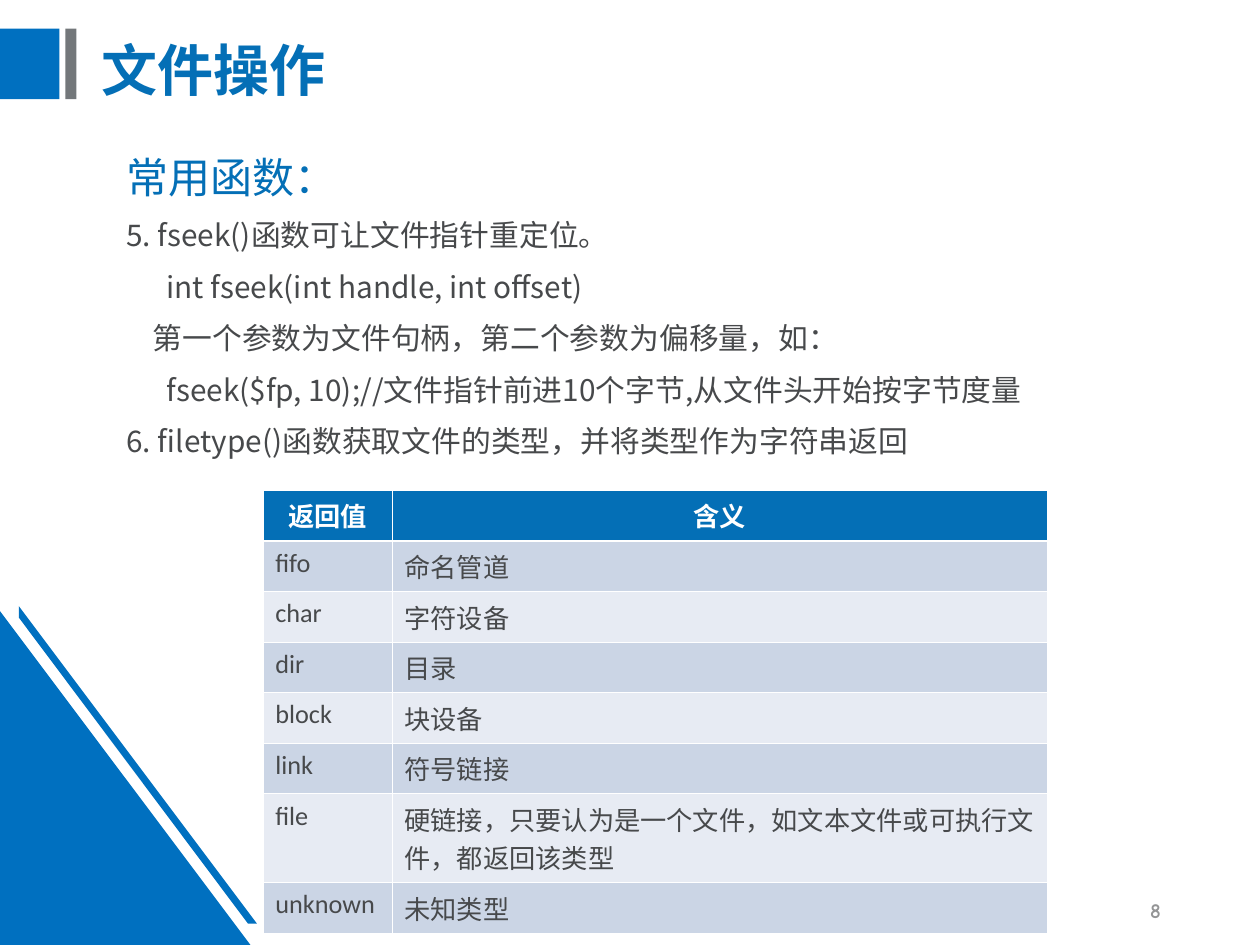
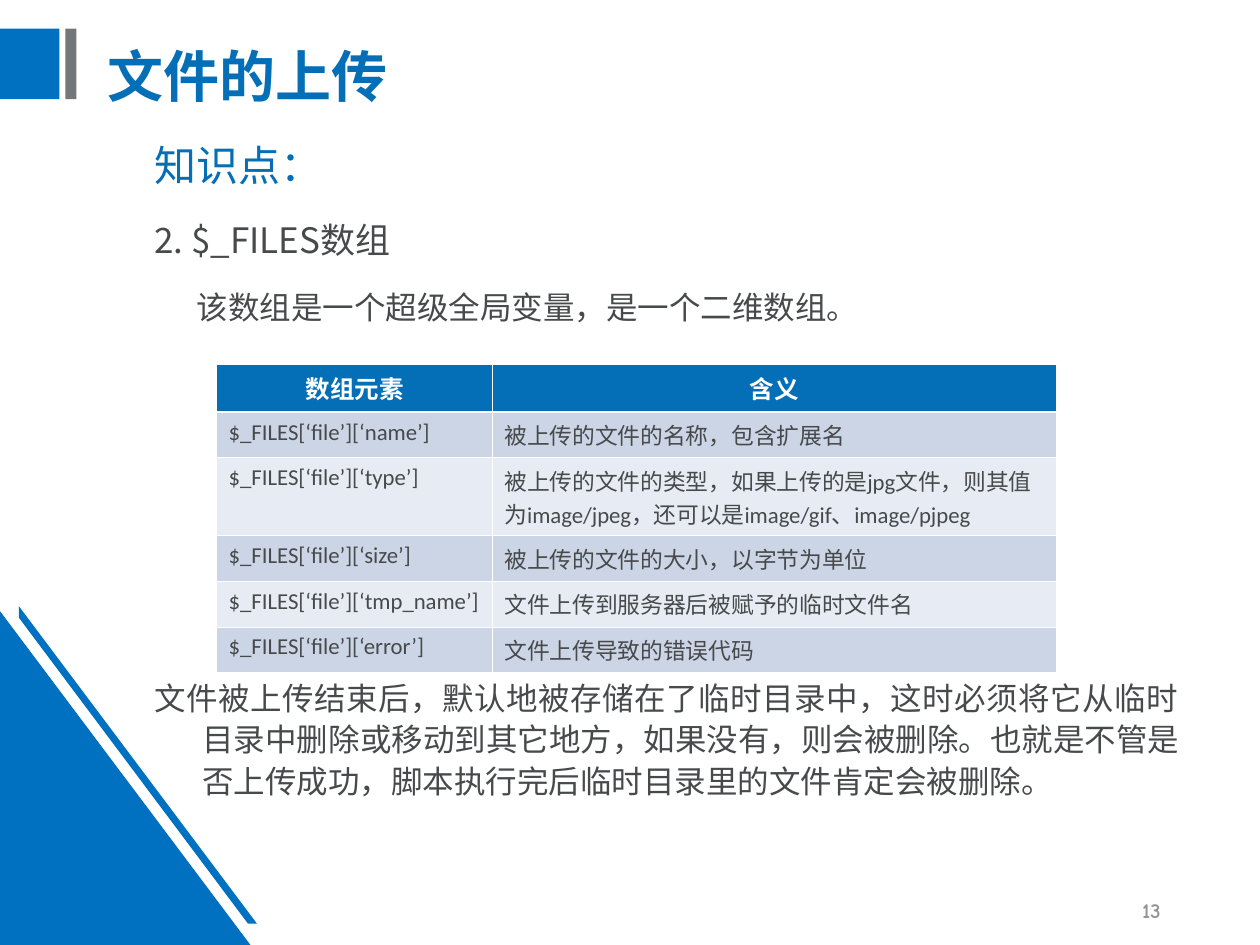
from pptx import Presentation
from pptx.dml.color import RGBColor
from pptx.enum.shapes import MSO_SHAPE
from pptx.enum.text import MSO_ANCHOR, PP_ALIGN
from pptx.oxml.ns import qn
from pptx.util import Cm, Pt
from lxml.etree import SubElement

BLUE = "0070C0"
DEEP = "046FB6"
GRAY = "73777A"
TEXT = "47494B"
PALE = "949596"
WHITE = "FFFFFF"
BANDS = ("E7EBF3", "CBD5E5")
HAN = "Noto Sans CJK SC"
LATIN = "Calibri"

CALLS = [
    ("常用函数：", 24, DEEP, 0, 0),
    ("5. fseek()函数可让文件指针重定位。", 17, TEXT, 0, 0),
    ("int fseek(int handle, int offset)", 17, TEXT, 0.81, 0),
    ("第一个参数为文件句柄，第二个参数为偏移量，如：", 17, TEXT, 0.53, 0),
    ("fseek($fp, 10);//文件指针前进10个字节,从文件头开始按字节度量", 17, TEXT, 0.81, 0),
    ("6. filetype()函数获取文件的类型，并将类型作为字符串返回", 17, TEXT, 0, 0),
]
TYPES = [
    ("返回值", "含义"),
    ("fifo", "命名管道"),
    ("char", "字符设备"),
    ("dir", "目录"),
    ("block", "块设备"),
    ("link", "符号链接"),
    ("file", "硬链接，只要认为是一个文件，如文本文件或可执行文件，都返回该类型"),
    ("unknown", "未知类型"),
]
POINTS = [
    ("知识点：", 24, DEEP, 0, 0),
    ("2. $_FILES数组", 20, TEXT, 0, 5),
    ("该数组是一个超级全局变量，是一个二维数组。", 18, TEXT, 0.86, 4.5),
    ("文件被上传结束后，默认地被存储在了临时目录中，这时必须将它从临时目录中删除或移动到其它地方，"
     "如果没有，则会被删除。也就是不管是否上传成功，脚本执行完后临时目录里的文件肯定会被删除。",
     18, TEXT, 0, 190.5),
]
FILES = [
    ("数组元素", "含义"),
    ("$_FILES[‘file’][‘name’]", "被上传的文件的名称，包含扩展名"),
    ("$_FILES[‘file’][‘type’]",
     "被上传的文件的类型，如果上传的是jpg文件，则其值为image/jpeg，还可以是image/gif、image/pjpeg"),
    ("$_FILES[‘file’][‘size’]", "被上传的文件的大小，以字节为单位"),
    ("$_FILES[‘file’][‘tmp_name’]", "文件上传到服务器后被赋予的临时文件名"),
    ("$_FILES[‘file’][‘error’]", "文件上传导致的错误代码"),
]


def tint(code):
    return RGBColor.from_string(code)


def paint(shape, code):
    shape.shadow.inherit = False
    shape.fill.solid()
    shape.fill.fore_color.rgb = tint(code)
    shape.line.fill.background()


def add_block(slide, kind, box, code):
    paint(slide.shapes.add_shape(kind, *map(Cm, box)), code)


def add_stripe(slide, dots):
    dots = [(Cm(x), Cm(y)) for x, y in dots]
    form = slide.shapes.build_freeform(*dots[0], scale=1.0)
    form.add_line_segments(dots[1:], close=True)
    paint(form.convert_to_shape(), BLUE)


def add_run(para, text, size, code, bold=False, face=HAN):
    run = para.add_run()
    run.text = text
    font = run.font
    font.size = Pt(size)
    font.bold = bold
    font.color.rgb = tint(code)
    font.name = face
    SubElement(run._r.get_or_add_rPr(), qn("a:ea")).set("typeface", HAN)


def add_box(slide, box, anchor=MSO_ANCHOR.MIDDLE):
    frame = slide.shapes.add_textbox(*map(Cm, box)).text_frame
    frame.word_wrap = True
    frame.vertical_anchor = anchor
    return frame


def add_title(slide, text, box):
    para = add_box(slide, box).paragraphs[0]
    para.line_spacing = 0.9
    add_run(para, text, 32, DEEP, True)


def add_page(slide, text):
    para = add_box(slide, (17.93, 17.83, 5.72, 1.02)).paragraphs[0]
    para.alignment = PP_ALIGN.RIGHT
    add_run(para, text, 12, PALE, True, "Comic Neue")


def add_body(slide, box, lines, left, hang, pitch):
    frame = add_box(slide, box, MSO_ANCHOR.TOP)
    for i, (text, size, code, shift, before) in enumerate(lines):
        para = frame.add_paragraph() if i else frame.paragraphs[0]
        para.alignment = PP_ALIGN.JUSTIFY
        para.line_spacing = pitch
        para.space_before = Pt(before)
        para.space_after = Pt(9)
        props = para._p.get_or_add_pPr()
        props.set("marL", str(Cm(left)))
        props.set("indent", str(Cm(shift - hang)))
        add_run(para, text, size, code)


def add_edge(cell, side, width):
    props = cell._tc.get_or_add_tcPr()
    edge = SubElement(props, qn("a:ln" + side), w=str(Pt(width)))
    fill = SubElement(edge, qn("a:solidFill"))
    SubElement(fill, qn("a:srgbClr"), val=WHITE)


def fill_cell(cell, text, row, size):
    head = row == 0
    thick = {"B": 0, "T": 1}
    for side in "LRTB":
        add_edge(cell, side, 1.5 if thick.get(side) == row else 0.5)
    cell.fill.solid()
    cell.fill.fore_color.rgb = tint(DEEP if head else BANDS[row % 2])
    cell.margin_left = cell.margin_right = Cm(0.24)
    para = cell.text_frame.paragraphs[0]
    para.alignment = PP_ALIGN.CENTER if head else PP_ALIGN.LEFT
    add_run(para, text, size, WHITE if head else TEXT, head, LATIN)


def add_grid(slide, spot, data, wide, high, sizes):
    box = (*spot, sum(wide), sum(high))
    grid = slide.shapes.add_table(len(data), len(wide), *map(Cm, box)).table
    for col, width in zip(grid.columns, wide):
        col.width = Cm(width)
    for i, texts in enumerate(data):
        grid.rows[i].height = Cm(high[i])
        for j, text in enumerate(texts):
            fill_cell(grid.cell(i, j), text, i, sizes[min(i, 1)])


def add_slide(deck):
    slide = deck.slides.add_slide(deck.slide_layouts[6])
    add_block(slide, MSO_SHAPE.RECTANGLE, (0, 0.58, 1.2, 1.42), BLUE)
    add_block(slide, MSO_SHAPE.RECTANGLE, (1.32, 0.58, 0.22, 1.42), GRAY)
    add_block(slide, MSO_SHAPE.RIGHT_TRIANGLE, (0, 12.32, 5.05, 6.73), BLUE)
    add_stripe(slide, [(0.38, 12.22), (5.18, 18.62), (5, 18.62), (0.38, 12.45)])
    return slide


def main():
    deck = Presentation()
    deck.slide_width, deck.slide_height = Cm(25.4), Cm(19.05)

    slide = add_slide(deck)
    add_title(slide, "文件操作", (1.8, 0.58, 19.08, 1.78))
    add_body(slide, (2.3, 2.92, 20.98, 7.01), CALLS, 0.76, 0.76, 1.0)
    add_page(slide, "8")
    high = [1.02] * 6 + [1.79, 1.02]
    add_grid(slide, (5.31, 9.88), TYPES, (2.6, 13.2), high, (15, 15))

    slide = add_slide(deck)
    add_title(slide, "文件的上传", (1.92, 0.43, 19.08, 2.36))
    add_body(slide, (1.9, 2.59, 22.12, 14.1), POINTS, 1.93, 0.97, 1.1)
    add_page(slide, "13")
    high = [0.97, 0.92, 1.57] + [0.92] * 3
    add_grid(slide, (4.37, 7.34), FILES, (5.56, 11.37), high, (14, 13))

    deck.save("out.pptx")


if __name__ == "__main__":
    main()
